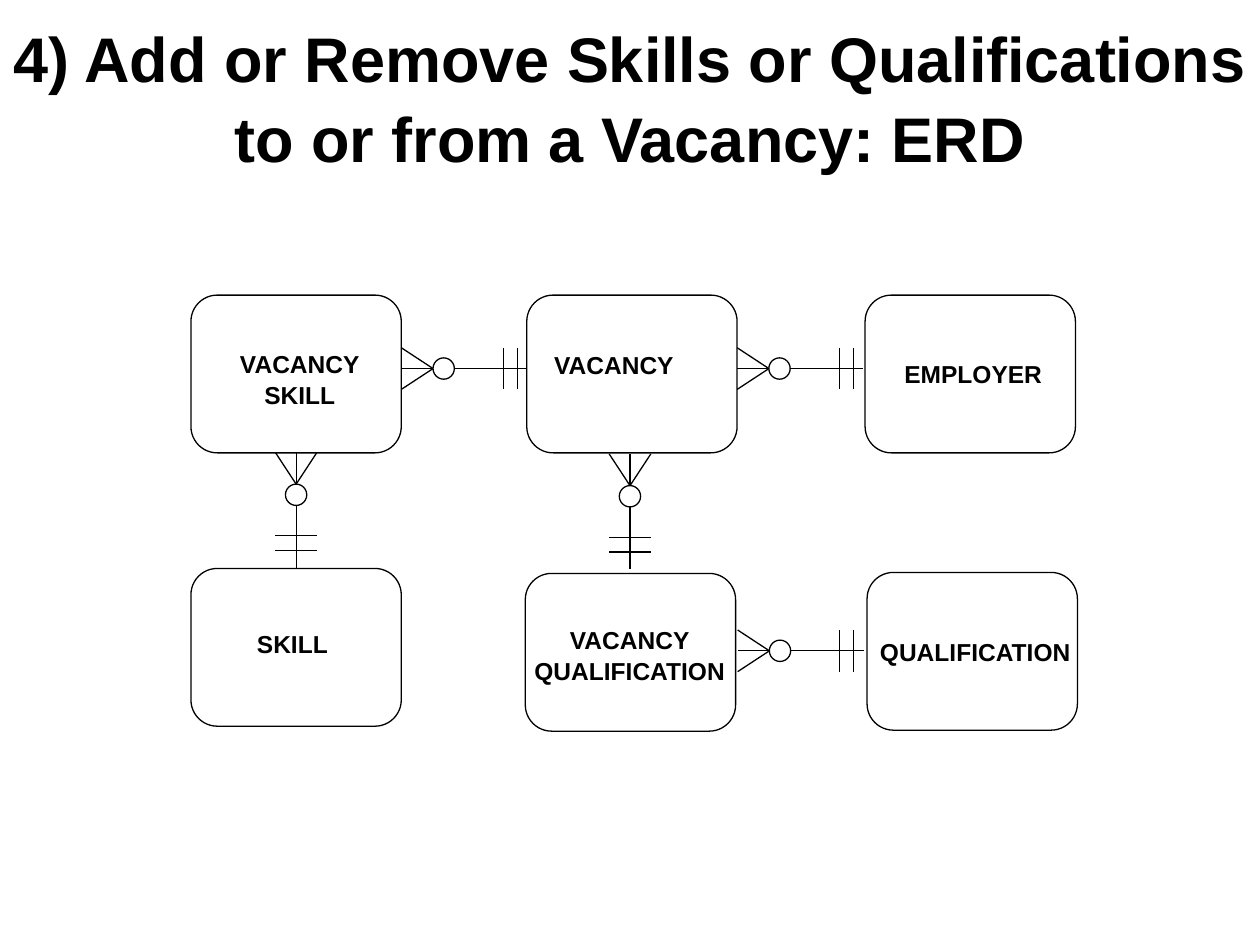
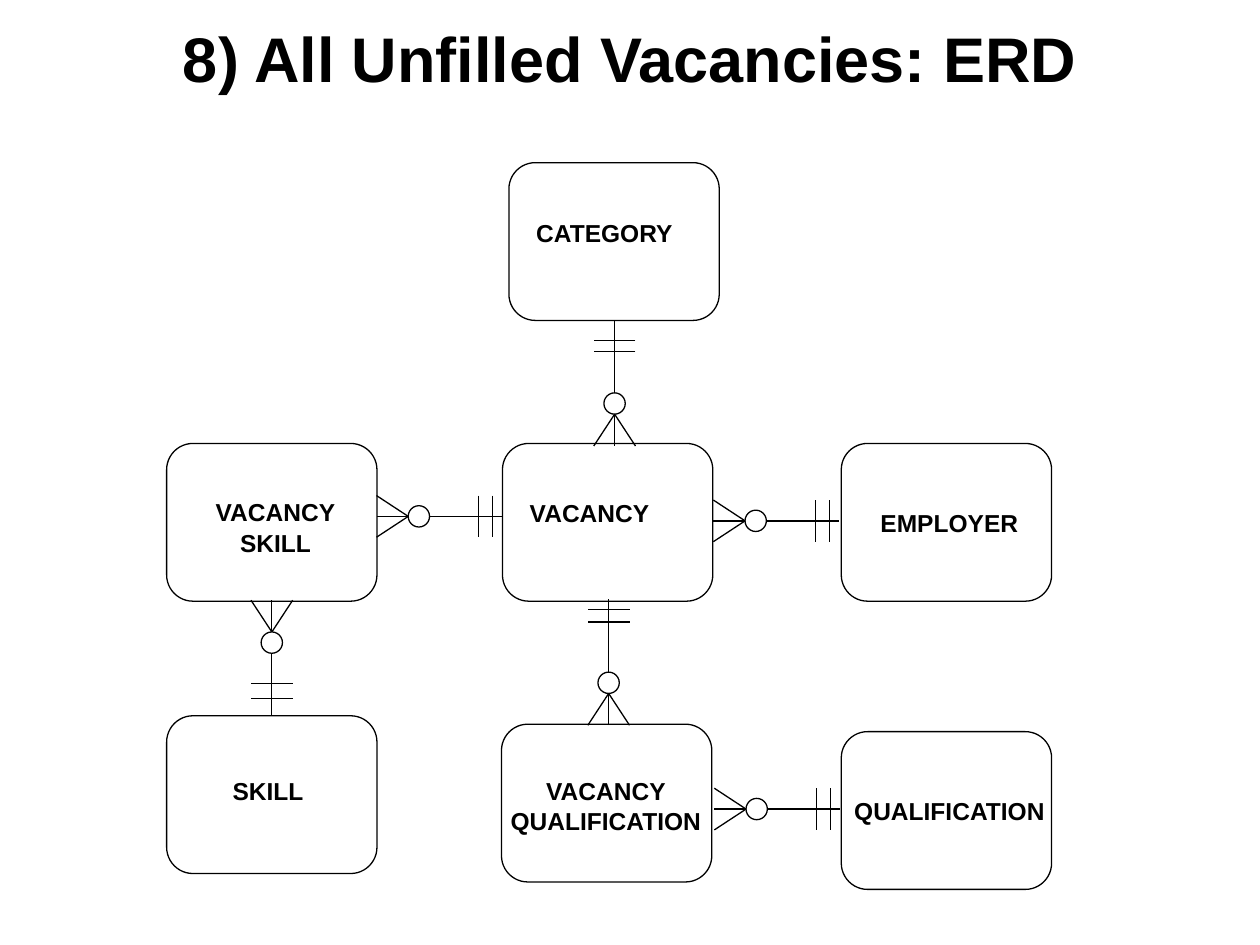
from dataclasses import dataclass

from lxml.etree import SubElement
from pptx import Presentation
from pptx.dml.color import RGBColor
from pptx.enum.shapes import MSO_CONNECTOR, MSO_SHAPE
from pptx.enum.text import MSO_AUTO_SIZE, PP_ALIGN
from pptx.oxml.ns import qn
from pptx.util import Cm, Pt


@dataclass(frozen=True)
class Theme:
    ink: RGBColor = RGBColor(0, 0, 0)
    paper: RGBColor = RGBColor(255, 255, 255)
    font: str = "Arial"
    title: float = 36
    label: float = 14
    stroke: float = 0.74
    spacing: float = 1.05


theme = Theme()

# Entities: label lines, label offset inside the box, label width (cm)
ENTITIES = {
    "vacancy skill": (["VACANCY", "SKILL"], (0.72, 0.93), 2.95),
    "skill": (["SKILL"], (1.08, 1.06), 1.93),
    "vacancy": (["VACANCY"], (0.3, 0.95), 2.95),
    "employer": (["EMPLOYER"], (0.54, 1.14), 3.28),
    "vacancy qualification": (["VACANCY", "QUALIFICATION"], (-0.08, 0.88), 4.37),
    "qualification": (["QUALIFICATION"], (0.01, 1.15), 4.37),
    "category": (["CATEGORY"], (0.3, 0.96), 3.3),
}

# Relationships: direction from the many end, length, bar distances (cm)
RELATIONS = {
    "right": ((1, 0), 2.54, (2.06, 2.34)),
    "down": ((0, 1), 2.33, (1.68, 1.98)),
    "up": ((0, -1), 2.54, (2.08, 2.34)),
    "up to category": ((0, -1), 2.54, (1.91, 2.13)),
}

# Slides: box corners, then relationships by kind and many end (cm)
SLIDES = [
    {
        "title": "4) Add or Remove Skills or Qualifications to or from a Vacancy: ERD",
        "title_height": 3.3,
        "boxes": {
            "vacancy qualification": (10.59, 11.56),
            "vacancy skill": (3.85, 5.95),
            "skill": (3.85, 11.46),
            "vacancy": (10.62, 5.95),
            "employer": (17.44, 5.95),
            "qualification": (17.48, 11.54),
        },
        "links": [
            ("right", 8.09, 7.43),
            ("down", 5.97, 9.12),
            ("right", 14.86, 7.43),
            ("down", 12.7, 9.15),
            ("right", 14.87, 13.12),
        ],
    },
    {
        "title": "8) All Unfilled Vacancies: ERD",
        "title_height": 1.78,
        "boxes": {
            "vacancy qualification": (10.11, 14.6),
            "vacancy skill": (3.36, 8.94),
            "skill": (3.36, 14.43),
            "vacancy": (10.13, 8.94),
            "employer": (16.96, 8.94),
            "qualification": (16.96, 14.75),
            "category": (10.26, 3.28),
        },
        "links": [
            ("right", 7.59, 10.41),
            ("down", 5.48, 12.1),
            ("right", 14.38, 10.5),
            ("up", 12.27, 14.62),
            ("right", 14.4, 16.31),
            ("up to category", 12.39, 8.99),
        ],
    },
]

BOX_W, BOX_H = 4.24, 3.18
LINE_H, PADDING = 0.6, 0.26
FOOT, HALF, RING = 0.64, 0.42, 0.43  # crow's foot depth, half width, ring size


def add_text(slide, lines, x, y, w, h, size, align, wrap=False):
    tf = slide.shapes.add_textbox(Cm(x), Cm(y), Cm(w), Cm(h)).text_frame
    tf.word_wrap = wrap
    tf.auto_size = MSO_AUTO_SIZE.SHAPE_TO_FIT_TEXT
    for i, line in enumerate(lines):
        p = tf.add_paragraph() if i else tf.paragraphs[0]
        p.alignment, p.line_spacing = align, theme.spacing
        r = p.add_run()
        r.text = line
        for name, value in {"name": theme.font, "size": Pt(size), "bold": True}.items():
            setattr(r.font, name, value)
        r.font.color.rgb = theme.ink


def set_stroke(sp):
    sp.line.color.rgb = theme.ink
    sp.line.width = Pt(theme.stroke)


def add_outline(slide, kind, x, y, w, h):
    sp = slide.shapes.add_shape(kind, Cm(x), Cm(y), Cm(w), Cm(h))
    sp.shadow.inherit = False
    sp.fill.solid()
    sp.fill.fore_color.rgb = theme.paper
    set_stroke(sp)


def add_line(slide, start, end):
    ends = [Cm(v) for v in (*start, *end)]
    sp = slide.shapes.add_connector(MSO_CONNECTOR.STRAIGHT, *ends)
    set_stroke(sp)
    SubElement(sp._element.spPr, qn("a:effectLst"))


def add_entity(slide, name, x, y):
    lines, (dx, dy), w = ENTITIES[name]
    add_outline(slide, MSO_SHAPE.FLOWCHART_ALTERNATE_PROCESS, x, y, BOX_W, BOX_H)
    align = PP_ALIGN.CENTER if len(lines) > 1 else PP_ALIGN.LEFT
    h = LINE_H * len(lines) + PADDING
    add_text(slide, lines, x + dx, y + dy, w, h, theme.label, align)


def add_link(slide, kind, x, y):
    (ux, uy), length, bars = RELATIONS[kind]

    def at(along, across=0):
        return x + ux * along + uy * across, y + uy * along + ux * across

    add_line(slide, at(0), at(length))
    for side in (HALF, -HALF):
        add_line(slide, at(FOOT), at(0, side))
    for bar in bars:
        add_line(slide, at(bar, -HALF), at(bar, HALF))
    cx, cy = at(FOOT + RING / 2)
    add_outline(slide, MSO_SHAPE.OVAL, cx - RING / 2, cy - RING / 2, RING, RING)


prs = Presentation()
prs.slide_width, prs.slide_height = Cm(25.4), Cm(19.05)

for content in SLIDES:
    slide = prs.slides.add_slide(prs.slide_layouts[6])
    # Title
    add_text(slide, [content["title"]], 0, 0.2, 25.4, content["title_height"],
             theme.title, PP_ALIGN.CENTER, wrap=True)
    # Entities
    for name, corner in content["boxes"].items():
        add_entity(slide, name, *corner)
    # Relationships
    for link in content["links"]:
        add_link(slide, *link)

prs.save("out.pptx")
